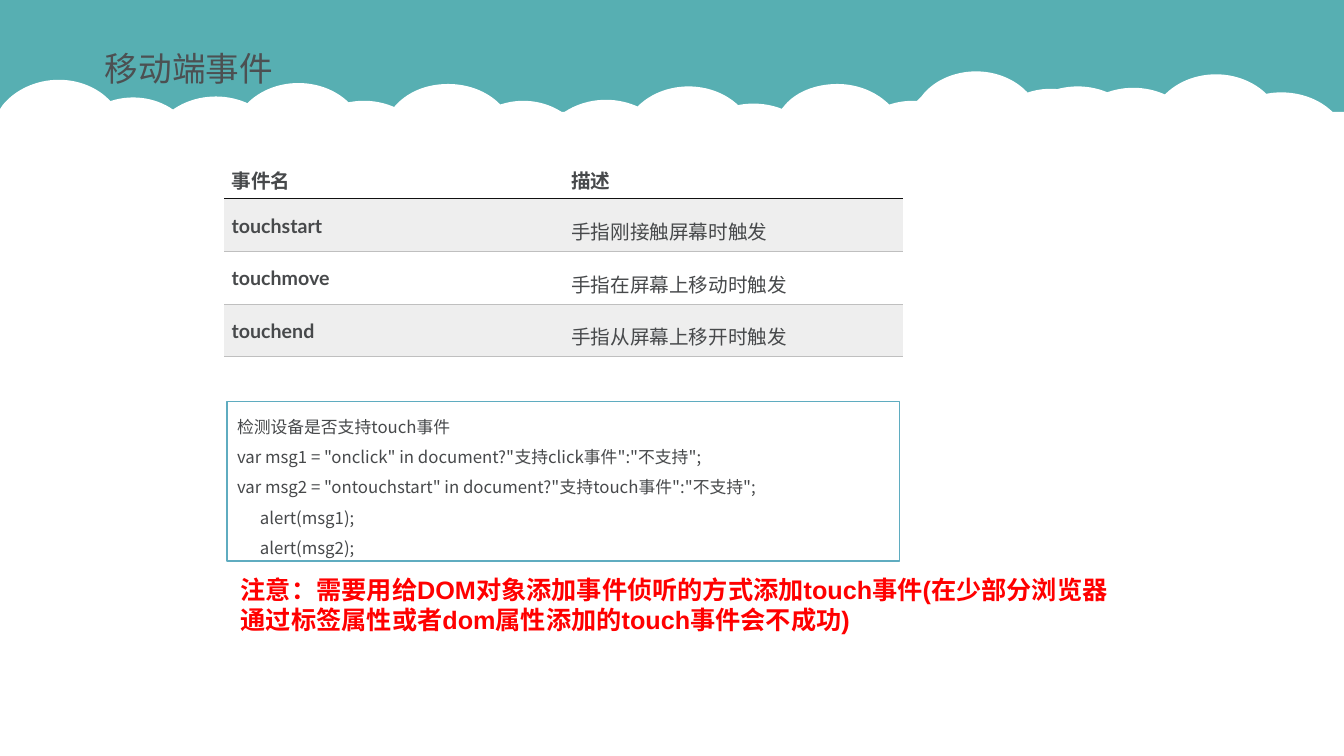
from dataclasses import dataclass
from typing import Any

from lxml import etree
from pptx import Presentation
from pptx.dml.color import RGBColor
from pptx.enum.shapes import MSO_SHAPE
from pptx.enum.text import MSO_ANCHOR, MSO_AUTO_SIZE, PP_ALIGN
from pptx.oxml.ns import qn
from pptx.util import Pt

RECTANGLE, OVAL = MSO_SHAPE.RECTANGLE, MSO_SHAPE.OVAL
TOP, BOTTOM = MSO_ANCHOR.TOP, MSO_ANCHOR.BOTTOM
LEFT = PP_ALIGN.LEFT
NO_FIT = MSO_AUTO_SIZE.NONE

PAGE_WIDTH, PAGE_HEIGHT = 959.76, 540
CLOUD_WIDTH = 95
CJK_FONT = "Noto Sans CJK SC"
PLAIN_TABLE = "{2D5ABB26-0587-4C30-8999-92F81FD0307C}"
COLORS = {
    "sky": "2D9C9F", "white": "FFFFFF", "title": "4C5052", "text": "47494B",
    "warning": "FF0000", "frame": "5FACC0", "stripe": "EEEEEE",
    "header_rule": "111111", "row_rule": "BFBFBF",
}
# Outlines of trimmed clouds, in radii from the centre. The first and last
# three curves take three points each, the cut side three straight ones.
ROUND_SIDE = [(0.55, -1), (1, -0.55), (1, 0), (1, 0.55), (0.55, 1), (0, 1)]
LEFT_CUT = [(-0.34, 1), (-0.65, 0.83), (-0.83, 0.56), (-0.88, 0.48),
            (-0.88, -0.48), (-0.83, -0.56), (-0.65, -0.83), (-0.34, -1), (0, -1)]
RIGHT_CUT = [(-0.41, 1), (-0.77, 0.75), (-0.92, 0.39), (-0.95, 0.32),
             (-0.95, -0.32), (-0.92, -0.39), (-0.77, -0.75), (-0.41, -1), (0, -1)]
CURVE_STARTS = (0, 3, 6, 12)


@dataclass(frozen=True)
class Cloud:
    left: float
    top: float
    height: float
    cut: str = ""


@dataclass(frozen=True)
class Bank:
    """Shift of one bank of clouds."""
    right: float
    down: float


@dataclass(frozen=True)
class TextStyle:
    font: str
    size: float
    color: str
    bold: bool = False
    spacing: float = 1.0


CLOUDS = [
    Cloud(272.9, 59.5, 80.3, "left"),
    Cloud(326.2, 72, 87.1),
    Cloud(385.2, 71.3, 79.9),
    Cloud(444.2, 61.7, 80.3),
    Cloud(491, 74.2, 80.3, "right"),
]
BANKS = [Bank(-278.6, -2.4), Bank(0, 0), Bank(277.9, 0), Bank(376.6, -8.6)]

TITLE = TextStyle(CJK_FONT, 24, "title")
CELL = TextStyle("Lato", 14, "text", spacing=1.5)
BOLD_CELL = TextStyle("Lato", 14, "text", True, 1.5)
CODE = TextStyle(CJK_FONT, 12, "text", spacing=1.5)
WARNING = TextStyle("Arial", 18, "warning", True)

EVENTS = [
    ("事件名", "描述"),
    ("touchstart", "手指刚接触屏幕时触发"),
    ("touchmove", "手指在屏幕上移动时触发"),
    ("touchend", "手指从屏幕上移开时触发"),
]
CODE_LINES = [
    ("检测设备是否支持touch事件", 0),
    ('var msg1 = "onclick" in document?"支持click事件":"不支持";', 0),
    ('var msg2 = "ontouchstart" in document?"支持touch事件":"不支持";', 0),
    ("alert(msg1);", 16.3),
    ("alert(msg2);", 16.3),
]
NOTICE = ("注意：需要用给DOM对象添加事件侦听的方式添加touch事件"
          "(在少部分浏览器通过标签属性或者dom属性添加的touch事件会不成功)")


def rgb(name: str) -> RGBColor:
    return RGBColor.from_string(COLORS[name])


def apply(target: Any, values: dict[str, Any]) -> None:
    for name, value in values.items():
        setattr(target, name, value)


def paint(shape: Any, color: str) -> None:
    shape.shadow.inherit = False
    shape.fill.solid()
    shape.fill.fore_color.rgb = rgb(color)
    shape.line.fill.background()


def add_box(page: Any, kind: Any, color: str, *bounds: float) -> Any:
    box = page.shapes.add_shape(kind, *map(Pt, bounds))
    paint(box, color)
    return box


def write(para: Any, text: str, style: TextStyle, indent: float = 0) -> None:
    apply(para, {"alignment": LEFT, "line_spacing": style.spacing})
    if indent:
        para._p.get_or_add_pPr().set("marL", str(Pt(indent)))
    span = para.add_run()
    span.text = text
    apply(span.font, {"name": style.font, "size": Pt(style.size), "bold": style.bold})
    span.font.color.rgb = rgb(style.color)
    east_asian = etree.SubElement(span.font._element, qn("a:ea"))
    east_asian.set("typeface", CJK_FONT)


def add_cloud(page: Any, cloud: Cloud, bank: Bank) -> None:
    """Draw an ellipse, or a curved outline when one side is cut straight."""
    left, top = cloud.left + bank.right, cloud.top + bank.down
    if not cloud.cut:
        add_box(page, OVAL, "white", left, top, CLOUD_WIDTH, cloud.height)
        return
    facing, cut_side = (1, LEFT_CUT) if cloud.cut == "left" else (-1, RIGHT_CUT)
    radius_x, radius_y = CLOUD_WIDTH / 2, cloud.height / 2
    points = [(left + radius_x * (1 + facing * x), top + radius_y * (1 + y))
              for x, y in [(0, -1), *ROUND_SIDE, *cut_side]]
    builder = page.shapes.build_freeform(*points[0], scale=Pt(1))
    builder.add_line_segments(points[1:], close=True)
    shape = builder.convert_to_shape()
    segments = list(shape._element.iter(qn("a:lnTo")))
    for start in CURVE_STARTS:
        curve = etree.Element(qn("a:cubicBezTo"))
        segments[start].addprevious(curve)
        for segment in segments[start:start + 3]:
            curve.append(segment[0])
            segment.getparent().remove(segment)
    paint(shape, "white")


def add_sky(page: Any) -> None:
    sky = add_box(page, RECTANGLE, "sky", 0, -2, PAGE_WIDTH, 267)
    color = sky.fill._xPr.find(".//" + qn("a:srgbClr"))
    etree.SubElement(color, qn("a:alpha")).set("val", "80000")
    for bank in BANKS:
        for cloud in CLOUDS:
            add_cloud(page, cloud, bank)
    add_box(page, RECTANGLE, "white", 0, 80, PAGE_WIDTH, 324)


def add_title(page: Any) -> None:
    """Fill the title placeholder and bring it in front of the sky."""
    title = page.shapes.title
    title._element.getparent().append(title._element)
    apply(title, {"left": Pt(67.7), "top": Pt(30.6), "width": Pt(136), "height": Pt(36.7)})
    apply(title.text_frame, {"word_wrap": False, "auto_size": NO_FIT, "vertical_anchor": TOP})
    write(title.text_frame.paragraphs[0], "移动端事件", TITLE)


def set_rule(cell: Any, side: str, color: str) -> None:
    rule = etree.Element(qn(f"a:{side}"), w=str(Pt(0.75)))
    fill = etree.SubElement(rule, qn("a:solidFill"))
    etree.SubElement(fill, qn("a:srgbClr")).set("val", COLORS[color])
    properties = cell._tc.get_or_add_tcPr()
    properties.insert(len(properties.findall(qn("a:lnT"))), rule)


def add_event_table(page: Any) -> None:
    frame = page.shapes.add_table(len(EVENTS), 2, Pt(160), Pt(104.2), Pt(485), Pt(151))
    table = frame.table
    apply(table, {"first_row": False, "horz_banding": False})
    table._tbl.tblPr.find(qn("a:tableStyleId")).text = PLAIN_TABLE
    for row_index, texts in enumerate(EVENTS):
        header = row_index == 0
        table.rows[row_index].height = Pt(37.4 if header else 37.8)
        for column_index, text in enumerate(texts):
            cell = table.cell(row_index, column_index)
            apply(cell, {
                "margin_left": Pt(5.4), "margin_right": Pt(5.4),
                "margin_top": Pt(2.7), "margin_bottom": Pt(2.7),
                "vertical_anchor": BOTTOM if header else TOP,
            })
            if row_index % 2:
                cell.fill.solid()
                cell.fill.fore_color.rgb = rgb("stripe")
            else:
                cell.fill.background()
            if not header:
                set_rule(cell, "lnT", "header_rule" if row_index == 1 else "row_rule")
            set_rule(cell, "lnB", "header_rule" if header else "row_rule")
            style = BOLD_CELL if header or column_index == 0 else CELL
            write(cell.text_frame.paragraphs[0], text, style)


def add_notice(page: Any) -> None:
    box = page.shapes.add_textbox(Pt(164.9), Pt(406.8), Pt(637), Pt(50.4))
    box.text_frame.word_wrap = True
    write(box.text_frame.paragraphs[0], NOTICE, WARNING)


def add_code(page: Any) -> None:
    box = add_box(page, RECTANGLE, "white", 162.2, 286.8, 480.2, 113.8)
    box.line.color.rgb = rgb("frame")
    box.line.width = Pt(1)
    frame = box.text_frame
    apply(frame, {"word_wrap": True, "auto_size": NO_FIT, "vertical_anchor": TOP})
    for index, (text, indent) in enumerate(CODE_LINES):
        para = frame.add_paragraph() if index else frame.paragraphs[0]
        write(para, text, CODE, indent)


def main() -> None:
    deck = Presentation()
    apply(deck, {"slide_width": Pt(PAGE_WIDTH), "slide_height": Pt(PAGE_HEIGHT)})
    page = deck.slides.add_slide(deck.slide_layouts[5])
    for add_part in (add_sky, add_title, add_event_table, add_notice, add_code):
        add_part(page)
    deck.save("out.pptx")


if __name__ == "__main__":
    main()
